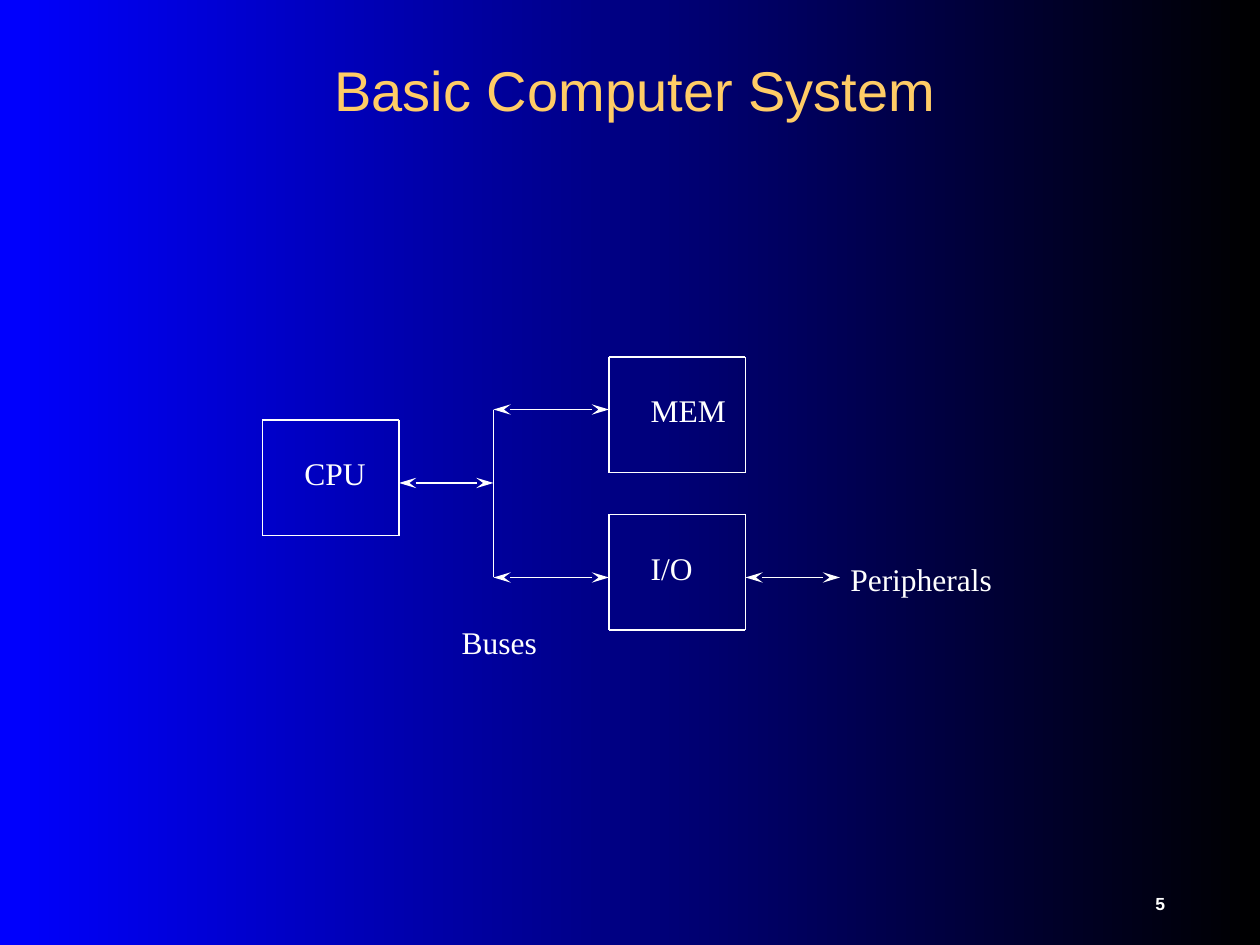
from lxml.etree import SubElement
from pptx import Presentation
from pptx.dml.color import RGBColor
from pptx.enum.shapes import MSO_CONNECTOR
from pptx.enum.text import MSO_ANCHOR, PP_ALIGN
from pptx.oxml.ns import qn
from pptx.util import Inches, Pt

COLOURS = {"black": "000000", "blue": "0000FF", "gold": "FFCC66", "white": "FFFFFF"}
CELLS_PER_INCH = 12


def colour(name):
    """Return the named colour."""
    return RGBColor.from_string(COLOURS[name])


def cells(count):
    """Convert grid columns or rows to a length."""
    return Inches(count / CELLS_PER_INCH)


def write(frame, text, font="Times New Roman", size=18, fill="white", bold=False,
          align=PP_ALIGN.LEFT, anchor=MSO_ANCHOR.TOP, wrap=True):
    """Put one formatted line of text in a frame."""
    frame.word_wrap = wrap
    frame.vertical_anchor = anchor
    para = frame.paragraphs[0]
    para.alignment = align
    span = para.add_run()
    span.text = text
    span.font.name = font
    span.font.size = Pt(size)
    span.font.bold = bold
    span.font.color.rgb = colour(fill)


class Diagram:
    """Hold the line style and the slide, and draw on its grid."""

    def __init__(self, page, line_width=1):
        """Keep the page and the line width in points."""
        self.page = page
        self.line_width = Pt(line_width)

    def background(self, start, end, angle):
        """Fill the page with a two-colour gradient."""
        fill = self.page.background.fill
        fill.gradient()
        fill.gradient_angle = angle
        for stop, name in zip(fill.gradient_stops, (start, end)):
            stop.color.rgb = colour(name)

    def label(self, text, left, top, width, height=4.8, **style):
        """Add free text."""
        box = self.page.shapes.add_textbox(*map(cells, (left, top, width, height)))
        write(box.text_frame, text, **style)

    def unit(self, text, left, top, label_width, width=13, height=11):
        """Outline a unit with four lines and name it."""
        right, bottom = left + width, top + height
        for column in (left, right):
            self.link((column, top), (column, bottom), arrows=False)
        for row in (top, bottom):
            self.link((left, row), (right, row), arrows=False)
        self.label(text, left + 2.8, top + 2.7, label_width, wrap=False)

    def link(self, start, end, arrows=True):
        """Add a straight line, with arrowheads at both ends if wanted."""
        line = self.page.shapes.add_connector(
            MSO_CONNECTOR.STRAIGHT, *map(cells, (*start, *end)))
        line.line.color.rgb = colour("white")
        line.line.width = self.line_width
        properties = line._element.spPr
        outline = properties.find(qn("a:ln"))
        SubElement(outline, qn("a:round"))
        if arrows:
            for tag in ("a:headEnd", "a:tailEnd"):
                SubElement(outline, qn(tag), type="stealth", w="med", len="lg")
        SubElement(properties, qn("a:effectLst"))


def main():
    """Build the slide and save it."""
    deck = Presentation()
    deck.slide_width, deck.slide_height = Inches(10), Inches(7.5)
    diagram = Diagram(deck.slides.add_slide(deck.slide_layouts[6]))
    diagram.background("black", "blue", 180)
    diagram.label("Basic Computer System", 1, 1, 119, 15, font="Arial", size=32,
                  fill="gold", align=PP_ALIGN.CENTER, anchor=MSO_ANCHOR.MIDDLE)

    cpu_right, bus, unit_left, unit_right = 38, 47, 58, 71
    memory_row, cpu_row, device_row = 39, 46, 55
    diagram.unit("CPU", 25, 40, 8.3)
    diagram.unit("MEM", unit_left, 34, 9.6)
    diagram.unit("I/O", unit_left, 49, 6.5)
    diagram.link((bus, memory_row), (bus, device_row), arrows=False)
    for row, left, right in ((cpu_row, cpu_right, bus),
                             (memory_row, bus, unit_left),
                             (device_row, bus, unit_left),
                             (device_row, unit_right, 80)):
        diagram.link((left, row), (right, row))

    diagram.label("Peripherals", 79.8, 52.7, 16, wrap=False)
    diagram.label("Buses", 42.8, 58.7, 9.6, wrap=False)
    diagram.label("5", 102, 84, 17, 4, font="Arial", size=10, bold=True,
                  align=PP_ALIGN.CENTER, anchor=MSO_ANCHOR.MIDDLE)
    deck.save("out.pptx")


if __name__ == "__main__":
    main()
